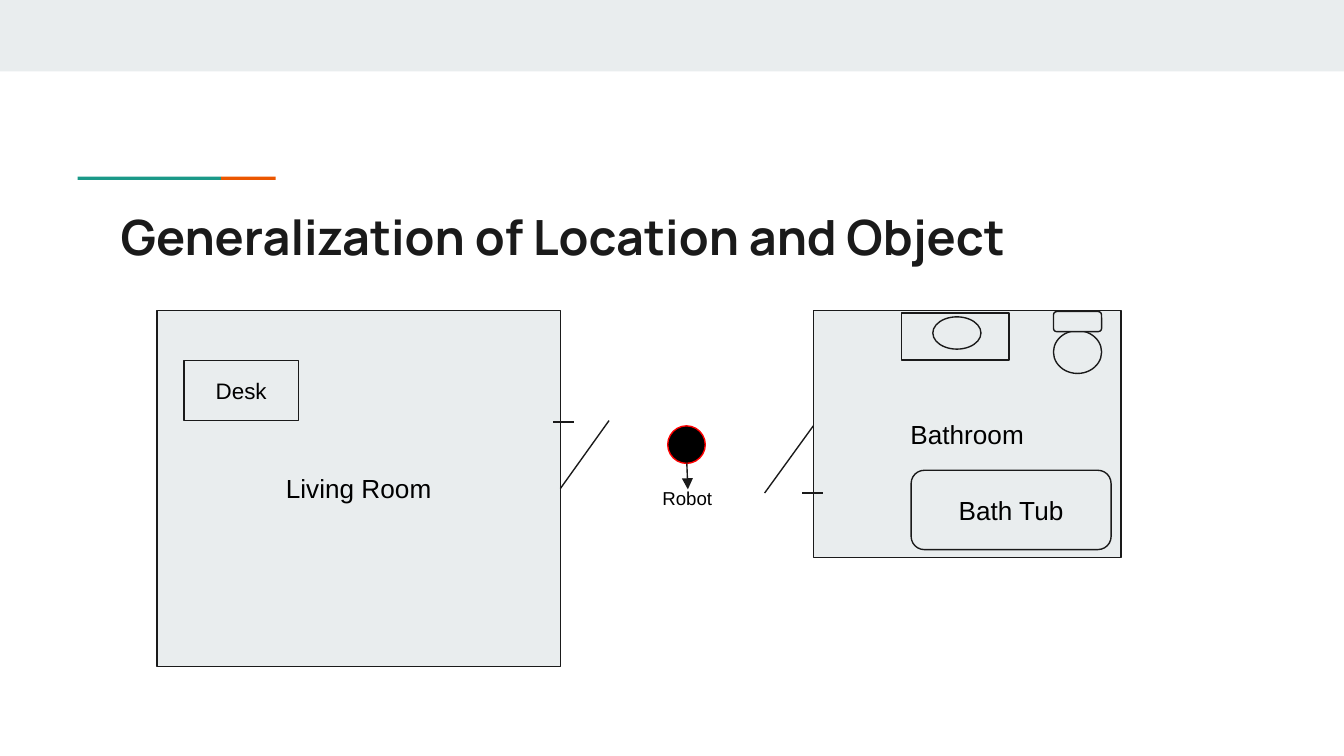
from dataclasses import dataclass
from typing import Optional

from lxml.etree import SubElement
from pptx import Presentation
from pptx.dml.color import RGBColor
from pptx.enum.shapes import MSO_CONNECTOR, MSO_SHAPE
from pptx.enum.text import MSO_ANCHOR, PP_ALIGN
from pptx.oxml.ns import qn
from pptx.shapes.autoshape import Shape
from pptx.shapes.connector import Connector
from pptx.slide import Slide
from pptx.util import Cm, Pt


@dataclass(frozen=True)
class Theme:
    ink: str = "1A1A1A"
    room: str = "E9EDEE"
    teal: str = "1A9988"
    orange: str = "EB5600"
    black: str = "000000"
    red: str = "FF0000"
    title_font: str = "Manrope"
    label_font: str = "Arial"
    title_size: float = 26
    room_size: float = 14
    desk_size: float = 12
    robot_size: float = 10
    line_width: float = 0.75
    inset: float = 0.25


T = Theme()


@dataclass(frozen=True)
class Label:
    text: str
    size: float = T.room_size
    font: str = T.label_font
    color: str = T.black
    bold: bool = False


@dataclass(frozen=True)
class Box:
    """A filled shape; lengths in centimetres."""
    x: float
    y: float
    w: float
    h: float
    kind: MSO_SHAPE = MSO_SHAPE.RECTANGLE
    fill: str = T.room
    line: Optional[str] = T.ink
    label: Optional[Label] = None


@dataclass(frozen=True)
class Line:
    x1: float
    y1: float
    x2: float
    y2: float


def write(sp: Shape, label: Label, align: PP_ALIGN, anchor: MSO_ANCHOR) -> None:
    tf = sp.text_frame
    tf.word_wrap = True
    tf.vertical_anchor = anchor
    tf.margin_left = tf.margin_right = Cm(T.inset)
    tf.margin_top = tf.margin_bottom = Cm(T.inset)
    p = tf.paragraphs[0]
    p.alignment = align
    r = p.add_run()
    r.text = label.text
    r.font.name = label.font
    r.font.size = Pt(label.size)
    r.font.bold = label.bold
    r.font.color.rgb = RGBColor.from_string(label.color)


def draw_box(s: Slide, box: Box) -> Shape:
    sp = s.shapes.add_shape(box.kind, Cm(box.x), Cm(box.y), Cm(box.w), Cm(box.h))
    sp.shadow.inherit = False
    sp.fill.solid()
    sp.fill.fore_color.rgb = RGBColor.from_string(box.fill)
    if box.line:
        sp.line.color.rgb = RGBColor.from_string(box.line)
        sp.line.width = Pt(T.line_width)
    else:
        sp.line.fill.background()
    if box.label:
        write(sp, box.label, PP_ALIGN.CENTER, MSO_ANCHOR.MIDDLE)
    return sp


def draw_text(s: Slide, x: float, y: float, w: float, h: float, label: Label) -> None:
    sp = s.shapes.add_textbox(Cm(x), Cm(y), Cm(w), Cm(h))
    write(sp, label, PP_ALIGN.LEFT, MSO_ANCHOR.TOP)


def draw_line(s: Slide, line: Line, arrow: bool = False) -> Connector:
    cn = s.shapes.add_connector(MSO_CONNECTOR.STRAIGHT, Cm(line.x1), Cm(line.y1),
                                Cm(line.x2), Cm(line.y2))
    cn.line.color.rgb = RGBColor.from_string(T.ink)
    cn.line.width = Pt(T.line_width)
    if arrow:
        SubElement(cn.line._get_or_add_ln(), qn("a:tailEnd"), type="triangle")
    SubElement(cn._element.spPr, qn("a:effectLst"))
    return cn


BANDS = [
    Box(0, 0, 25.4, 1.35, line=None),
    Box(1.47, 3.34, 2.71, 0.06, fill=T.teal, line=None),
    Box(4.18, 3.34, 1.03, 0.06, fill=T.orange, line=None),
]
LIVING_ROOM = Box(2.97, 5.87, 7.62, 6.73, label=Label("Living Room"))
BATHROOM = Box(15.37, 5.87, 5.82, 4.67, label=Label("Bathroom"))
ROBOT = Box(12.62, 8.05, 0.71, 0.71, MSO_SHAPE.OVAL, T.black, T.red)
HEADING = Line(12.98, 8.76, 13, 9.25)
LIVING_DOOR = Line(10.59, 9.24, 11.51, 7.95)
OTHER_DOOR_LINES = [
    Line(14.45, 9.32, 15.37, 8.05),
    Line(10.46, 7.98, 10.85, 7.98),
    Line(15.55, 9.32, 15.16, 9.32),
]
FURNITURE = [
    Box(3.48, 6.81, 2.16, 1.14, label=Label("Desk", T.desk_size)),
    Box(17.22, 8.89, 3.78, 1.5, MSO_SHAPE.ROUNDED_RECTANGLE, label=Label("Bath Tub")),
    Box(17.04, 5.92, 2.03, 0.89),  # washstand
    Box(17.63, 5.99, 0.91, 0.61, MSO_SHAPE.OVAL),  # basin
    Box(19.91, 6.25, 0.91, 0.81, MSO_SHAPE.OVAL),  # toilet bowl
    Box(19.91, 5.89, 0.91, 0.38, MSO_SHAPE.ROUNDED_RECTANGLE),  # toilet tank
]


def main() -> None:
    prs = Presentation()
    prs.slide_width, prs.slide_height = Cm(25.4), Cm(14.29)
    s = prs.slides.add_slide(prs.slide_layouts[6])

    for band in BANDS:
        draw_box(s, band)
    draw_text(s, 2.03, 3.66, 21.36, 1.5,
              Label("Generalization of Location and Object", T.title_size,
                    T.title_font, T.ink, bold=True))

    living_room = draw_box(s, LIVING_ROOM)
    draw_box(s, BATHROOM)
    draw_box(s, ROBOT)
    draw_line(s, HEADING, arrow=True)
    draw_text(s, 12.27, 8.99, 1.63, 0.81, Label("Robot", T.robot_size))

    draw_line(s, LIVING_DOOR).begin_connect(living_room, 3)
    for line in OTHER_DOOR_LINES:
        draw_line(s, line)
    for item in FURNITURE:
        draw_box(s, item)

    prs.save("out.pptx")


if __name__ == "__main__":
    main()
